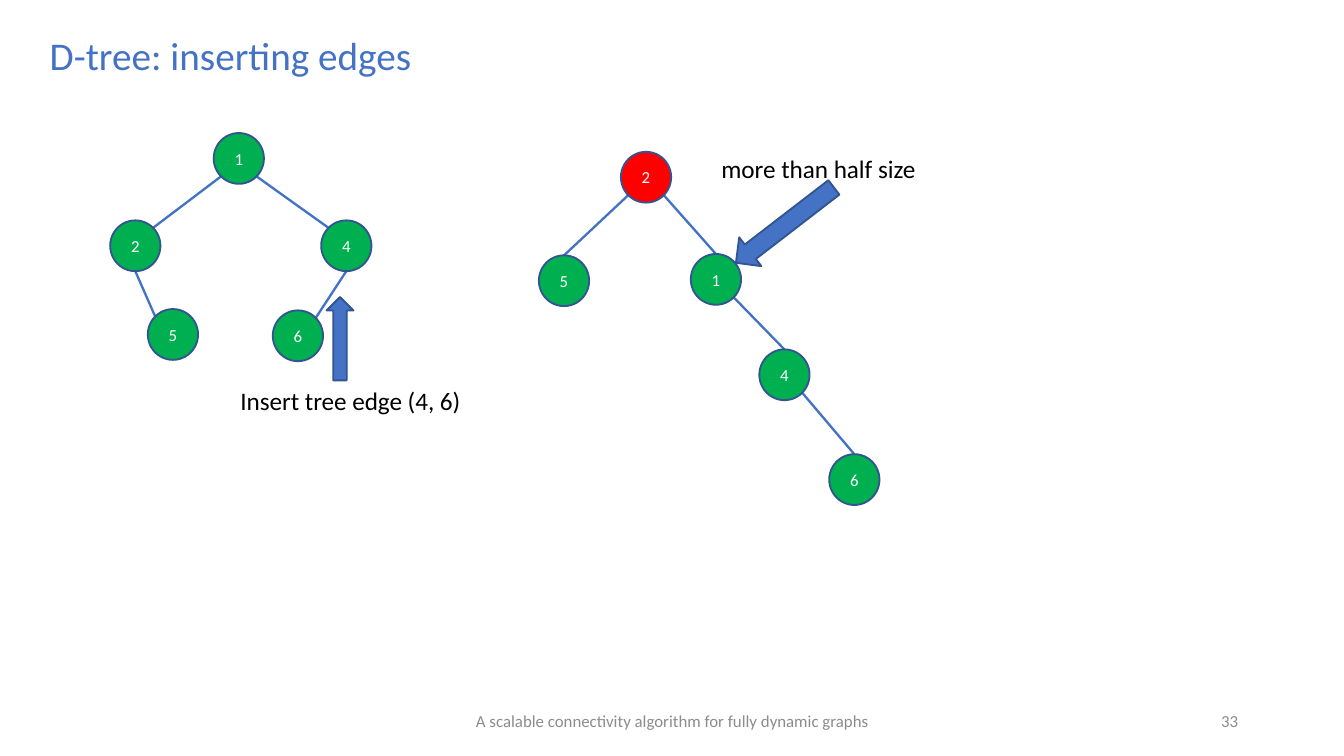
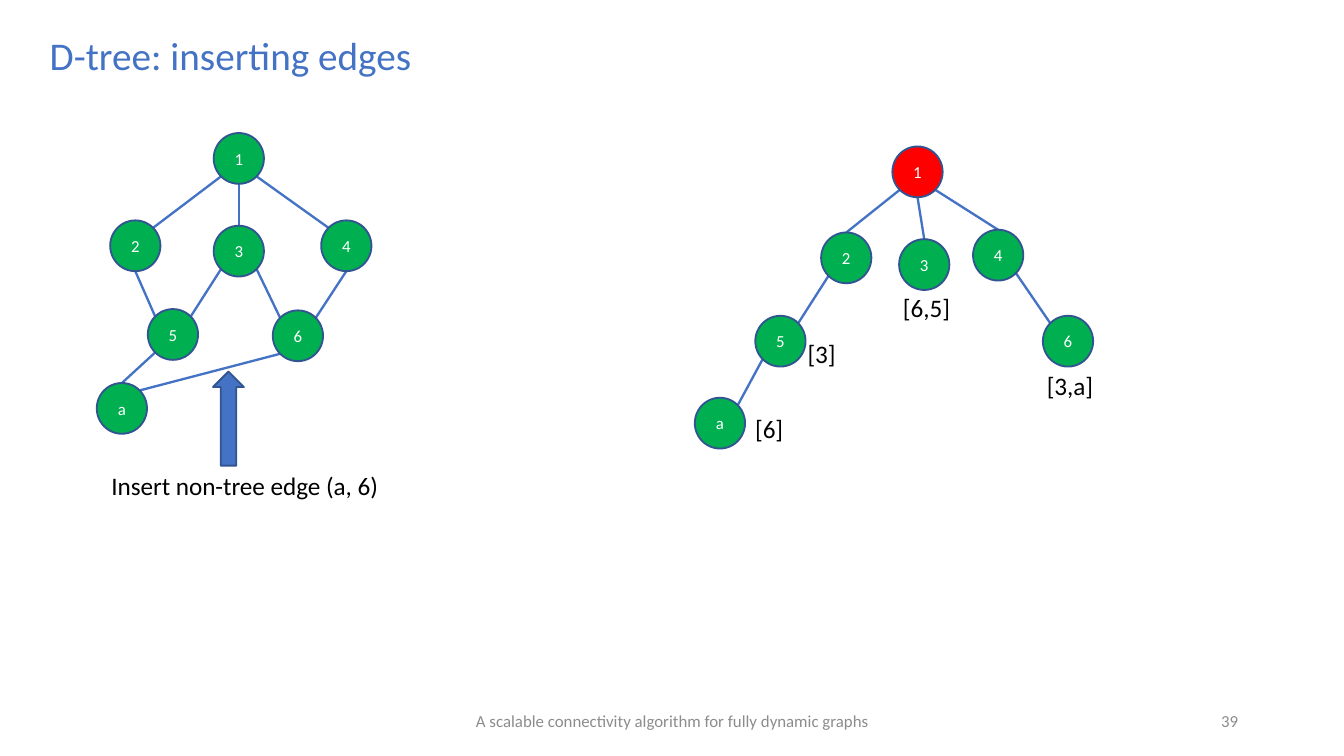
from math import cos, radians, sin

from lxml import etree
from pptx import Presentation
from pptx.dml.color import RGBColor
from pptx.enum.shapes import MSO_CONNECTOR, MSO_SHAPE
from pptx.enum.text import MSO_ANCHOR, MSO_AUTO_SIZE, PP_ALIGN
from pptx.oxml.ns import qn
from pptx.util import Inches, Pt

# Enum members
STRAIGHT = MSO_CONNECTOR.STRAIGHT
ELLIPSE = MSO_SHAPE.OVAL
UP, LEFT_ARROW, RIGHT_ARROW = MSO_SHAPE.UP_ARROW, MSO_SHAPE.LEFT_ARROW, MSO_SHAPE.RIGHT_ARROW
LEFT, CENTER, RIGHT = PP_ALIGN.LEFT, PP_ALIGN.CENTER, PP_ALIGN.RIGHT

# Palette and type
BLUE = RGBColor(0x44, 0x72, 0xC4)
DARK_BLUE = RGBColor(0x32, 0x54, 0x91)
GREEN = RGBColor(0x00, 0xB0, 0x50)
RED = RGBColor(0xFF, 0x00, 0x00)
GRAY = RGBColor(0x8C, 0x8C, 0x8C)
BLACK = RGBColor(0x00, 0x00, 0x00)
WHITE = RGBColor(0xFF, 0xFF, 0xFF)
FONT = "Calibri"
TITLE_SIZE, LABEL_SIZE, SMALL_SIZE = 21, 13.5, 9

# Grid: the slide is 100 units wide; every length below is in these units
SLIDE_W = Inches(10)
SLIDE_H = SLIDE_W * 9 // 16
UNIT = SLIDE_W / 100
NODE_W, NODE_H = 3.74, 3.78
LABEL_H = 3.3

TITLE = "D-tree: inserting edges"
FOOTER = "A scalable connectivity algorithm for fully dynamic graphs"

# Angles of the points on a node's rim where edges attach
RIM = {"T": -90, "TR": -45, "BR": 45, "B": 90, "BL": 135, "TL": -135}

# Graphs: node name -> left, top; edge -> (node, rim point, node, rim point)
BASE_NODES = {"1": (15.9, 9.9), "2": (8.2, 16.4), "4": (23.9, 16.4),
              "5": (11, 23), "6": (20.3, 23.1)}
BASE_EDGES = [("1", "BL", "2", "TR"), ("1", "BR", "4", "TL"),
              ("2", "B", "5", "TL"), ("4", "B", "6", "TR")]

FULL_NODES = BASE_NODES | {"3": (15.9, 16.8), "a": (7.2, 28.5)}
FULL_EDGES = BASE_EDGES + [("1", "B", "3", "T"), ("3", "BL", "5", "TR"),
                           ("3", "BR", "6", "TL"), ("5", "BL", "a", "T"),
                           ("6", "BL", "a", "TR")]

UNBALANCED_NODES = {"2": (46.2, 11.3), "5": (40.1, 19), "1": (51.4, 18.9),
                    "4": (56.5, 26), "6": (61.7, 33.8)}
UNBALANCED_EDGES = [("2", "BL", "5", "T"), ("2", "BR", "1", "T"),
                    ("1", "BR", "4", "T"), ("4", "BR", "6", "T")]

SPANNING_NODES = {"1": (66.4, 10.9), "2": (61.1, 17.3), "3": (66.9, 17.8),
                  "4": (72.4, 17.1), "5": (56.2, 23.5), "6": (77.6, 23.5),
                  "a": (51.7, 29.6)}
SPANNING_EDGES = [("1", "BL", "2", "T"), ("1", "B", "3", "T"),
                  ("1", "BR", "4", "T"), ("2", "BL", "5", "TR"),
                  ("4", "BR", "6", "TL"), ("5", "BL", "a", "TR")]


def units(*lengths):
    return [round(length * UNIT) for length in lengths]


def write(shape, text, size, color, align=LEFT, anchor=MSO_ANCHOR.TOP):
    frame = shape.text_frame
    frame.text = text
    frame.vertical_anchor = anchor
    paragraph = frame.paragraphs[0]
    paragraph.alignment = align
    font = paragraph.font
    font.name, font.size = FONT, Pt(size)
    font.color.rgb = color
    return frame


def fit_to_text(frame):
    frame.word_wrap = False
    frame.auto_size = MSO_AUTO_SIZE.SHAPE_TO_FIT_TEXT


def add_label(slide, text, left, top, width):
    box = slide.shapes.add_textbox(*units(left, top, width, LABEL_H))
    fit_to_text(write(box, text, LABEL_SIZE, BLACK))


def add_footer(slide, text, left, width, align):
    box = slide.shapes.add_textbox(*units(left, 52.1, width, 3))
    frame = write(box, text, SMALL_SIZE, GRAY, align, MSO_ANCHOR.MIDDLE)
    frame.word_wrap = True


def add_filled(slide, kind, box, fill):
    shape = slide.shapes.add_shape(kind, *units(*box))
    shape.shadow.inherit = False
    shape.fill.solid()
    shape.fill.fore_color.rgb = fill
    shape.line.color.rgb = DARK_BLUE
    shape.line.width = Pt(1)
    return shape


def add_node(slide, name, position, fill):
    node = add_filled(slide, ELLIPSE, (*position, NODE_W, NODE_H), fill)
    frame = write(node, name, SMALL_SIZE, WHITE, CENTER, MSO_ANCHOR.MIDDLE)
    frame.margin_left = frame.margin_right = 0
    frame.margin_top = frame.margin_bottom = 0


def rim_point(position, side):
    left, top = position
    angle = radians(RIM[side])
    return units(left + NODE_W / 2 * (1 + cos(angle)),
                 top + NODE_H / 2 * (1 + sin(angle)))


def add_edge(slide, start, end):
    edge = slide.shapes.add_connector(STRAIGHT, *start, *end)
    edge.line.color.rgb = BLUE
    edge.line.width = Pt(1.25)
    etree.SubElement(edge.line._get_or_add_ln().getparent(), qn("a:effectLst"))


def add_graph(slide, nodes, edges, root=None):
    """Draw edges and nodes; the root, if named, is red."""
    for parent, parent_side, child, child_side in edges:
        add_edge(slide, rim_point(nodes[parent], parent_side),
                 rim_point(nodes[child], child_side))
    for name, position in nodes.items():
        add_node(slide, name, position, RED if name == root else GREEN)


def add_arrow(slide, kind, box, rotation=0):
    add_filled(slide, kind, box, BLUE).rotation = rotation


def add_base_slide(deck, number):
    """Title, footer and slide number shared by all slides."""
    slide = deck.slides.add_slide(deck.slide_layouts[5])
    title = slide.shapes.title
    title.left, title.top, title.width, title.height = units(2.7, 1.8, 29.3, 4.5)
    fit_to_text(write(title, TITLE, TITLE_SIZE, BLUE))
    add_footer(slide, FOOTER, 33.1, 33.8, CENTER)
    add_footer(slide, number, 70.6, 22.5, RIGHT)
    return slide


def add_tree_edge_slide(deck):
    slide = add_base_slide(deck, "33")
    add_graph(slide, UNBALANCED_NODES, UNBALANCED_EDGES, root="2")
    add_graph(slide, BASE_NODES, BASE_EDGES)
    add_label(slide, "Insert tree edge (4, 6)", 16.9, 28.2, 18.7)
    add_arrow(slide, UP, (24.3, 22.1, 2, 6.2))
    add_label(slide, "more than half size", 52.7, 10.9, 16.7)
    add_arrow(slide, RIGHT_ARROW, (53.8, 15.4, 9.2, 2.7), 142.4)


def add_non_tree_edge_slide(deck):
    slide = add_base_slide(deck, "39")
    add_graph(slide, FULL_NODES, FULL_EDGES)
    add_graph(slide, SPANNING_NODES, SPANNING_EDGES, root="1")
    add_arrow(slide, LEFT_ARROW, (13.5, 30, 7, 2.3), 90)
    add_label(slide, "Insert non-tree edge (a, 6)", 7.3, 34.5, 22.2)
    # Non-tree neighbours listed beside their nodes
    for neighbours, left, top, width in [("[6,5]", 66.2, 21.3, 5.6),
                                         ("[3]", 59.1, 24.7, 4.1),
                                         ("[6]", 55.2, 30.3, 4.1),
                                         ("[3,a]", 76.9, 27.1, 5.5)]:
        add_label(slide, neighbours, left, top, width)


def main():
    deck = Presentation()
    deck.slide_width, deck.slide_height = SLIDE_W, SLIDE_H
    add_tree_edge_slide(deck)
    add_non_tree_edge_slide(deck)
    deck.save("out.pptx")


main()
